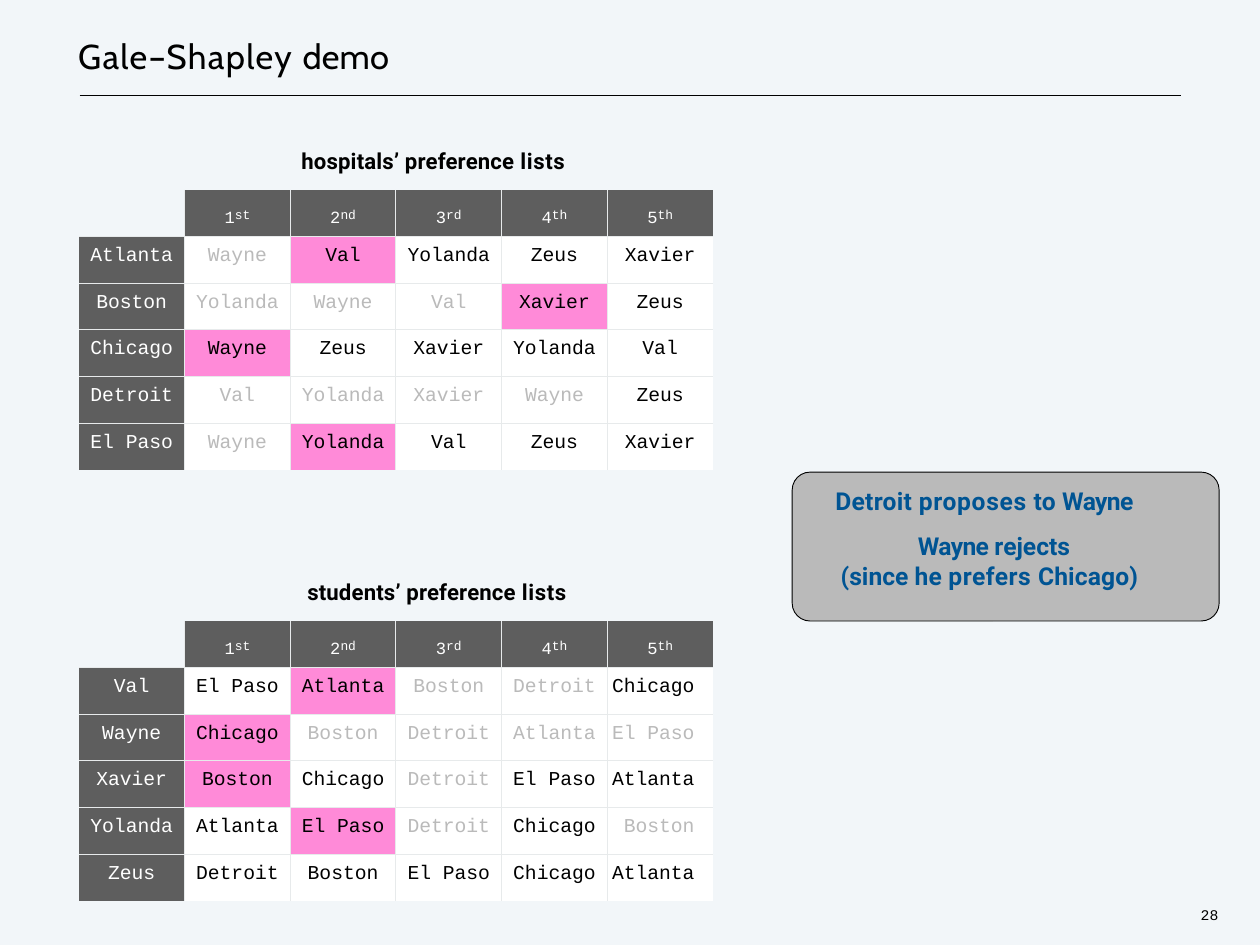
from lxml import etree
from pptx import Presentation
from pptx.dml.color import RGBColor
from pptx.enum.shapes import MSO_CONNECTOR, MSO_SHAPE
from pptx.enum.text import PP_ALIGN
from pptx.oxml.ns import qn
from pptx.util import Cm, Pt

STRAIGHT = MSO_CONNECTOR.STRAIGHT
ROUNDED = MSO_SHAPE.ROUNDED_RECTANGLE
LEFT, CENTER, RIGHT = PP_ALIGN.LEFT, PP_ALIGN.CENTER, PP_ALIGN.RIGHT

PAPER = RGBColor(0xF2, 0xF6, 0xF9)
BLACK = RGBColor(0x00, 0x00, 0x00)
WHITE = RGBColor(0xFF, 0xFF, 0xFF)
DARK = RGBColor(0x5E, 0x5E, 0x5E)
FADED = RGBColor(0xBA, 0xBA, 0xBA)
PINK = RGBColor(0xFF, 0x8A, 0xD8)
BLUE = RGBColor(0x00, 0x54, 0x93)
GRID = RGBColor(0xE7, 0xEA, 0xEB)

TITLE = {"name": "Cabin", "size": Pt(28)}
HEAD = {"name": "Roboto", "size": Pt(18), "bold": True}
NOTE = {"name": "Roboto", "size": Pt(20), "bold": True}
PAGE = {"name": "Courier New", "size": Pt(12)}
NAME = {"name": "Courier New", "size": Pt(16)}
RANK = {"name": "Courier New", "size": Pt(24)}
SUFFIX = {"name": "Courier New", "size": Pt(10.5)}

RANKS = [("1", "st"), ("2", "nd"), ("3", "rd"), ("4", "th"), ("5", "th")]
SIZE = len(RANKS) + 1
COL, ROW = 3.03, 1.34

# First name is the row label; "-" marks a rejected choice, "*" a match
HOSPITALS = [
    "Atlanta,-Wayne,*Val,Yolanda,Zeus,Xavier",
    "Boston,-Yolanda,-Wayne,-Val,*Xavier,Zeus",
    "Chicago,*Wayne,Zeus,Xavier,Yolanda,Val",
    "Detroit,-Val,-Yolanda,-Xavier,-Wayne,Zeus",
    "El Paso,-Wayne,*Yolanda,Val,Zeus,Xavier",
]
STUDENTS = [
    "Val,El Paso,*Atlanta,-Boston,-Detroit,Chicago",
    "Wayne,*Chicago,-Boston,-Detroit,-Atlanta,-El Paso",
    "Xavier,*Boston,Chicago,-Detroit,El Paso,Atlanta",
    "Yolanda,Atlanta,*El Paso,-Detroit,Chicago,-Boston",
    "Zeus,Detroit,Boston,El Paso,Chicago,Atlanta",
]


def add_run(par, text, form, color=BLACK, **marks):
    run = par.add_run()
    run.text = text
    for key, value in form.items():
        setattr(run.font, key, value)
    run.font.color.rgb = color
    for key, value in marks.items():
        run.font._element.set(key, str(value))


def add_text(slide, left, top, width, height):
    frame = slide.shapes.add_textbox(
        Cm(left), Cm(top), Cm(width), Cm(height)).text_frame
    form = {"word_wrap": True, "margin_left": 0, "margin_right": 0,
            "margin_top": Cm(0.03), "margin_bottom": 0}
    for key, value in form.items():
        setattr(frame, key, value)
    frame.paragraphs[0].space_before = Pt(1)
    return frame


def add_title(slide, left, top, width):
    par = add_text(slide, left, top, width, 1.24).paragraphs[0]
    add_run(par, "Gale–Shapley ", TITLE, spc=110)
    add_run(par, "demo", TITLE, spc=20)
    # Rule below the title
    base = Cm(top + 1.77)
    rule = slide.shapes.add_connector(
        STRAIGHT, Cm(left + 0.04), base, Cm(left + width), base)
    rule.line.color.rgb = BLACK
    rule.line.width = Pt(1)
    etree.SubElement(rule._element.spPr, qn("a:effectLst"))


def set_edges(cell, row, col):
    inner = {"L": col > 0, "R": col < SIZE - 1,
             "T": row > 0, "B": row < SIZE - 1}
    props = cell._tc.get_or_add_tcPr()
    for place, (side, shown) in enumerate(inner.items()):
        edge = etree.Element(qn("a:ln" + side), w=str(Pt(1)))
        if shown:
            fill = etree.SubElement(edge, qn("a:solidFill"))
            etree.SubElement(fill, qn("a:srgbClr"), val=str(GRID))
        else:
            etree.SubElement(edge, qn("a:noFill"))
        props.insert(place, edge)


def set_cell(cell, row, col, fill, top, before, align=CENTER):
    cell.fill.solid()
    cell.fill.fore_color.rgb = fill
    form = {"margin_left": 0, "margin_top": Cm(top), "margin_bottom": 0,
            "margin_right": Cm(0.53) if align == RIGHT else 0}
    for key, value in form.items():
        setattr(cell, key, value)
    set_edges(cell, row, col)
    par = cell.text_frame.paragraphs[0]
    par.alignment = align
    par.space_before = Pt(before)
    return par


def add_lists(slide, left, top, shift, head, lists, last):
    # Heading
    par = add_text(slide, left + shift, top, 8.5, 0.84).paragraphs[0]
    add_run(par, head + " preference ", HEAD, spc=15)
    add_run(par, "lists", HEAD, spc=50)

    # Grid
    table = slide.shapes.add_table(
        SIZE, SIZE, Cm(left), Cm(top + 1.23),
        Cm(COL * SIZE), Cm(ROW * SIZE)).table
    for col in table.columns:
        col.width = Cm(COL)
    for row in table.rows:
        row.height = Cm(ROW)

    # Rank row
    set_cell(table.cell(0, 0), 0, 0, PAPER, 0.15, 0)
    for col, (rank, suffix) in enumerate(RANKS, 1):
        par = set_cell(table.cell(0, col), 0, col, DARK, 0.15, 4.1)
        add_run(par, rank, RANK, WHITE, baseline=-14000)
        add_run(par, suffix, SUFFIX, WHITE)

    # Names
    for row, line in enumerate(lists, 1):
        for col, name in enumerate(line.split(",")):
            fill = DARK if col == 0 else PINK if name[0] == "*" else WHITE
            color = WHITE if col == 0 else FADED if name[0] == "-" else BLACK
            align = last if col == SIZE - 1 else CENTER
            par = set_cell(table.cell(row, col), row, col, fill,
                           0.25, 7, align)
            add_run(par, name.lstrip("*-"), NAME, color)


def add_note(slide, left, top, width, height):
    # Panel
    panel = slide.shapes.add_shape(
        ROUNDED, Cm(left), Cm(top), Cm(width), Cm(height))
    panel.shadow.inherit = False
    panel.adjustments[0] = 0.12
    panel.fill.solid()
    panel.fill.fore_color.rgb = FADED
    panel.line.color.rgb = BLACK
    panel.line.width = Pt(0.75)

    # Words: indent, line spacing, runs with their letter spacing
    lines = [
        (0, 1.54, [("Detroit", 20), (" proposes ", 50), ("to ", 10),
                   ("Wayne", -50)]),
        (2.36, 1.54, [("Wayne ", -50), ("rejects", 0)]),
        (0.15, 1, [("(since ", 0), ("he ", 10), ("prefers ", 40),
                   ("Chicago)", 10)]),
    ]
    frame = add_text(slide, left + 1.24, top - 0.1, width - 2.48, 3.56)
    for place, (indent, space, parts) in enumerate(lines):
        par = frame.add_paragraph() if place else frame.paragraphs[0]
        par.line_spacing = space
        par._p.get_or_add_pPr().set("marL", str(Cm(indent)))
        for text, gap in parts:
            add_run(par, text, NOTE, BLUE, spc=gap)


def add_page(slide, left, top):
    par = add_text(slide, left, top, 0.8, 0.58).paragraphs[0]
    add_run(par, "28", PAGE)


def main():
    deck = Presentation()
    deck.slide_width, deck.slide_height = Cm(36.12), Cm(27.1)
    slide = deck.slides.add_slide(deck.slide_layouts[6])
    slide.background.fill.solid()
    slide.background.fill.fore_color.rgb = PAPER

    add_title(slide, 2.24, 0.97, 31.62)
    add_lists(slide, 2.26, 4.21, 6.38, "hospitals’", HOSPITALS, CENTER)
    add_lists(slide, 2.26, 16.57, 6.55, "students’", STUDENTS, RIGHT)
    add_note(slide, 22.71, 13.54, 12.24, 4.27)
    add_page(slide, 34.42, 25.94)
    deck.save("out.pptx")


if __name__ == "__main__":
    main()
